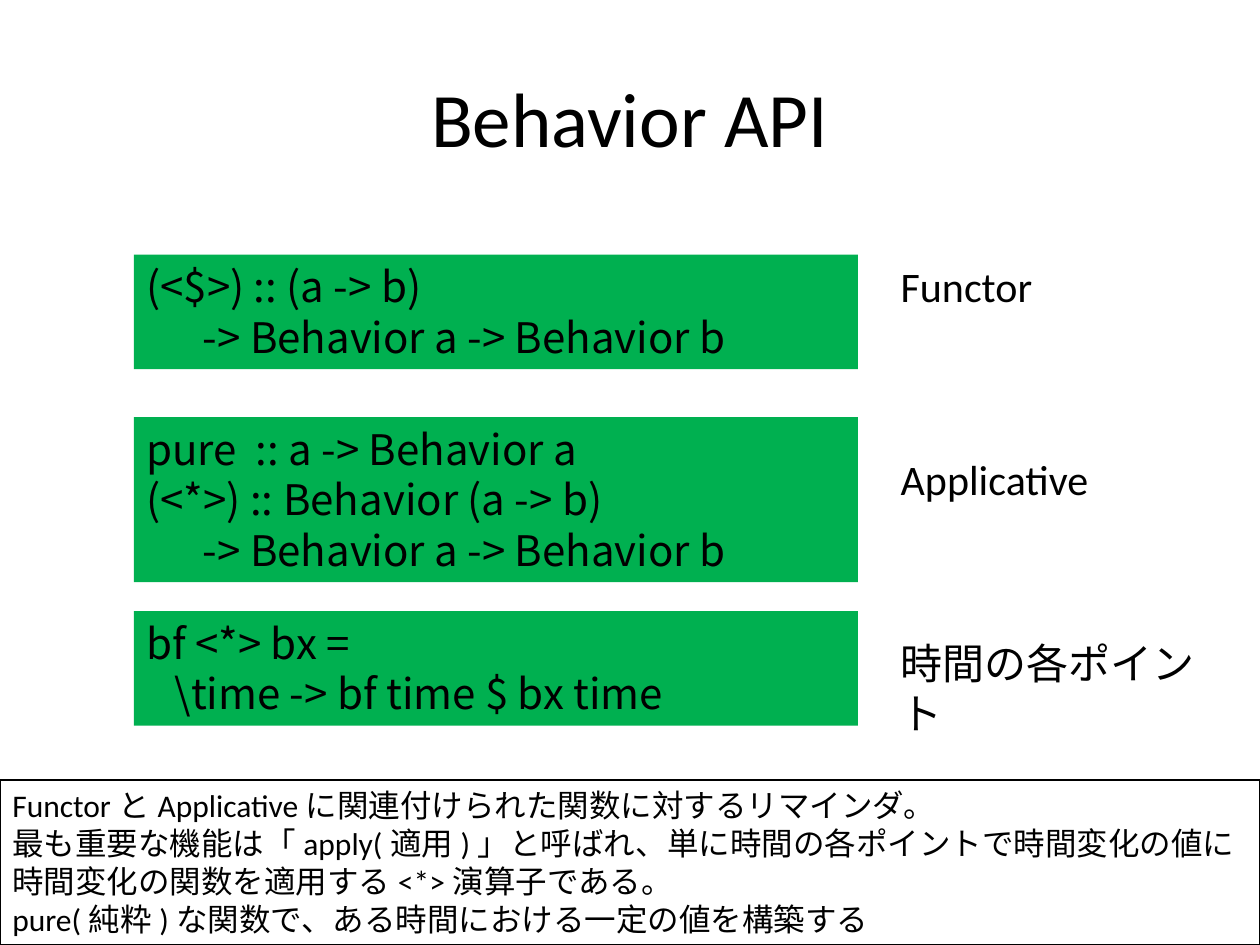
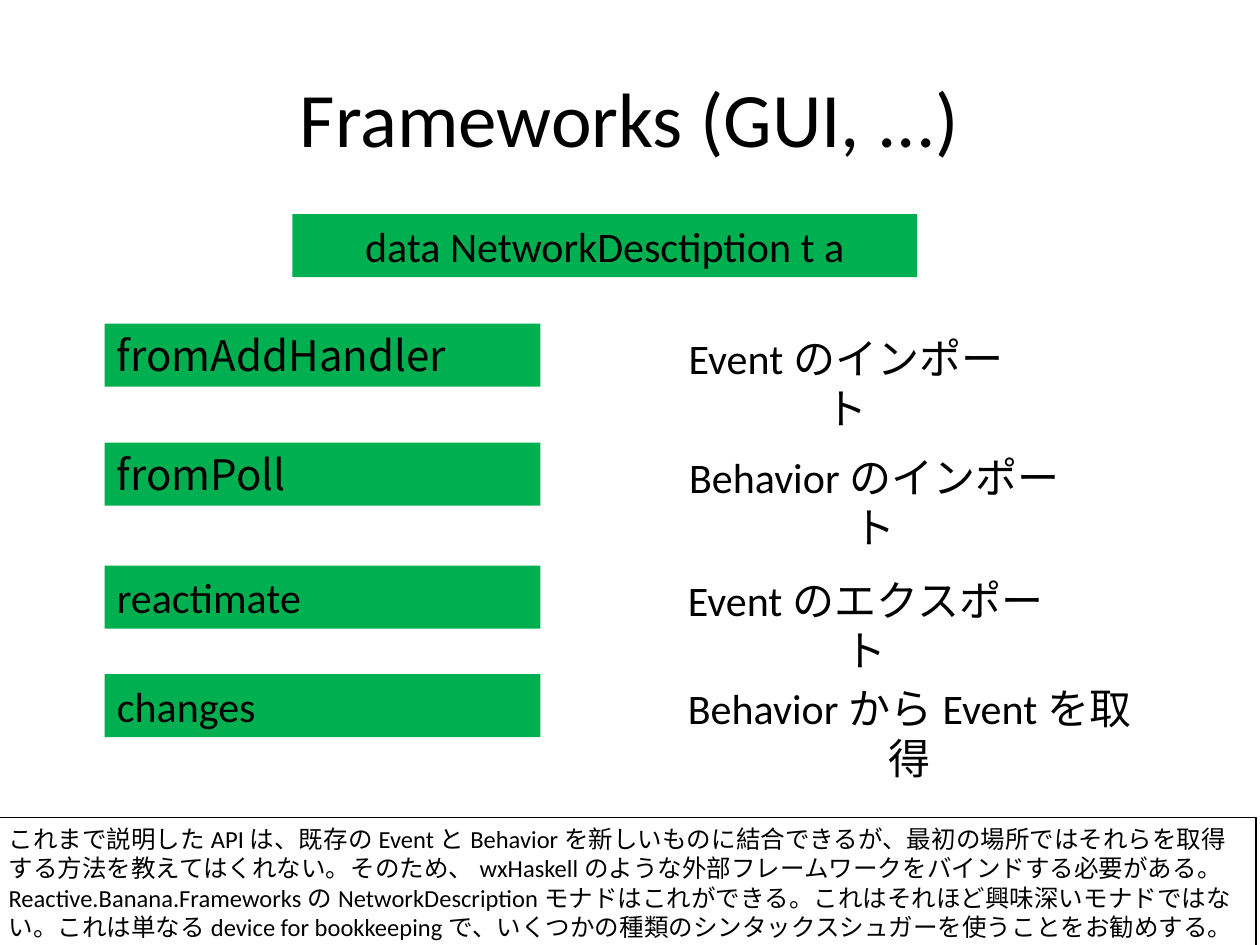
import pptx
import pptx.util
import pptx.dml.color
import pptx.enum.shapes
import pptx.enum.text

Pt = pptx.util.Pt
ALIGN = pptx.enum.text.PP_ALIGN
ANCHOR = pptx.enum.text.MSO_ANCHOR
FIT = pptx.enum.text.MSO_AUTO_SIZE
RECT = pptx.enum.shapes.MSO_SHAPE.RECTANGLE


def rgb(value):
    return pptx.dml.color.RGBColor.from_string(value)


class Deck:
    """Holds the shared style and the slide being built."""

    INK, GREEN = "000000", "00B050"
    BODY, CODE = "Calibri", "Noto Sans CJK JP"

    def __init__(self):
        self.prs = pptx.Presentation()
        self.prs.slide_width, self.prs.slide_height = Pt(720), Pt(540)

    def slide(self, title):
        self.s = self.prs.slides.add_slide(self.prs.slide_layouts[6])
        sp = self.s.shapes.add_textbox(Pt(36), Pt(21.6), Pt(648), Pt(90))
        self.add_text(sp, [title], 44, align=ALIGN.CENTER, anchor=ANCHOR.MIDDLE, fit=FIT.NONE)

    def add_text(self, sp, lines, size=24, font=BODY, align=ALIGN.LEFT,
                 anchor=ANCHOR.TOP, fit=FIT.SHAPE_TO_FIT_TEXT):
        tf = sp.text_frame
        tf.word_wrap, tf.auto_size, tf.vertical_anchor = True, fit, anchor
        for i, line in enumerate(lines):
            text, indent = line if isinstance(line, tuple) else (line, 0)
            p = tf.paragraphs[0] if i == 0 else tf.add_paragraph()
            p.alignment = align
            if indent:
                p._p.get_or_add_pPr().set("marL", str(Pt(indent)))
            r = p.add_run()
            r.text = text
            r.font.size, r.font.name = Pt(size), font
            r.font.color.rgb = rgb(self.INK)

    def rect(self, x, y, w, h):
        sp = self.s.shapes.add_shape(RECT, Pt(x), Pt(y), Pt(w), Pt(h))
        sp.shadow.inherit = False
        return sp

    def box(self, x, y, w, h, lines, font=BODY, align=ALIGN.LEFT):
        sp = self.rect(x, y, w, h)
        sp.fill.solid()
        sp.fill.fore_color.rgb = rgb(self.GREEN)
        sp.line.fill.background()
        self.add_text(sp, lines, font=font, align=align)

    def label(self, x, y, w, text, align=ALIGN.LEFT):
        sp = self.s.shapes.add_textbox(Pt(x), Pt(y), Pt(w), Pt(36))
        self.add_text(sp, [text], align=align)

    def note(self, x, y, h, lines, size):
        sp = self.rect(x, y, 720, h)
        sp.fill.background()
        sp.line.color.rgb = rgb(self.INK)
        sp.line.width = Pt(0.75)
        self.add_text(sp, lines, size)


deck = Deck()

deck.slide("Behavior API")
lift = ("-> Behavior a -> Behavior b", 32.3)
sections = [
    (145.44, 65.52, ["(<$>) :: (a -> b)", lift], 145.44, 90.72, "Functor"),
    (238.32, 94.32, ["pure  :: a -> Behavior a", "(<*>) :: Behavior (a -> b)", lift],
     255.6, 123.12, "Applicative"),
    (349.2, 65.52, ["bf <*> bx =", ("\\time -> bf time $ bx time", 16.2)],
     360.72, 191.52, "時間の各ポイント"),
]
for top, height, code, label_top, label_width, name in sections:
    deck.box(76.5, top, 413.8, height, code, deck.CODE)
    deck.label(507.6, label_top, label_width, name)
deck.note(0, 445.68, 94.32, [
    "FunctorとApplicativeに関連付けられた関数に対するリマインダ。",
    "最も重要な機能は「apply(適用)」と呼ばれ、単に時間の各ポイントで時間変化の値に"
    "時間変化の関数を適用する<*>演算子である。",
    "pure(純粋)な関数で、ある時間における一定の値を構築する",
], 18)

deck.slide("Frameworks (GUI, ...)")
deck.box(167.04, 122.4, 357.12, 36, ["data NetworkDesctiption t a"], align=ALIGN.CENTER)
functions = [
    (185, "fromAddHandler", deck.CODE, 196.56, "Eventのインポート"),
    (253, "fromPoll", deck.CODE, 228.96, "Behaviorのインポート"),
    (323.3, "reactimate", deck.BODY, 218.88, "Eventのエクスポート"),
    (385.2, "changes", deck.BODY, 269.28, "BehaviorからEventを取得"),
]
for top, name, font, label_width, purpose in functions:
    deck.box(59.76, top, 249.12, 36, [name], font)
    deck.label(385.2, top + 1.2, label_width, purpose, ALIGN.CENTER)
deck.note(-2.16, 467.28, 74.88, [
    "これまで説明したAPIは、既存のEventとBehaviorを新しいものに結合できるが、"
    "最初の場所ではそれらを取得する方法を教えてはくれない。"
    "そのため、wxHaskellのような外部フレームワークをバインドする必要がある。",
    "Reactive.Banana.FrameworksのNetworkDescriptionモナドはこれができる。"
    "これはそれほど興味深いモナドではない。これは単なるdevice for bookkeepingで、"
    "いくつかの種類のシンタックスシュガーを使うことをお勧めする。",
], 14)

deck.prs.save("out.pptx")
